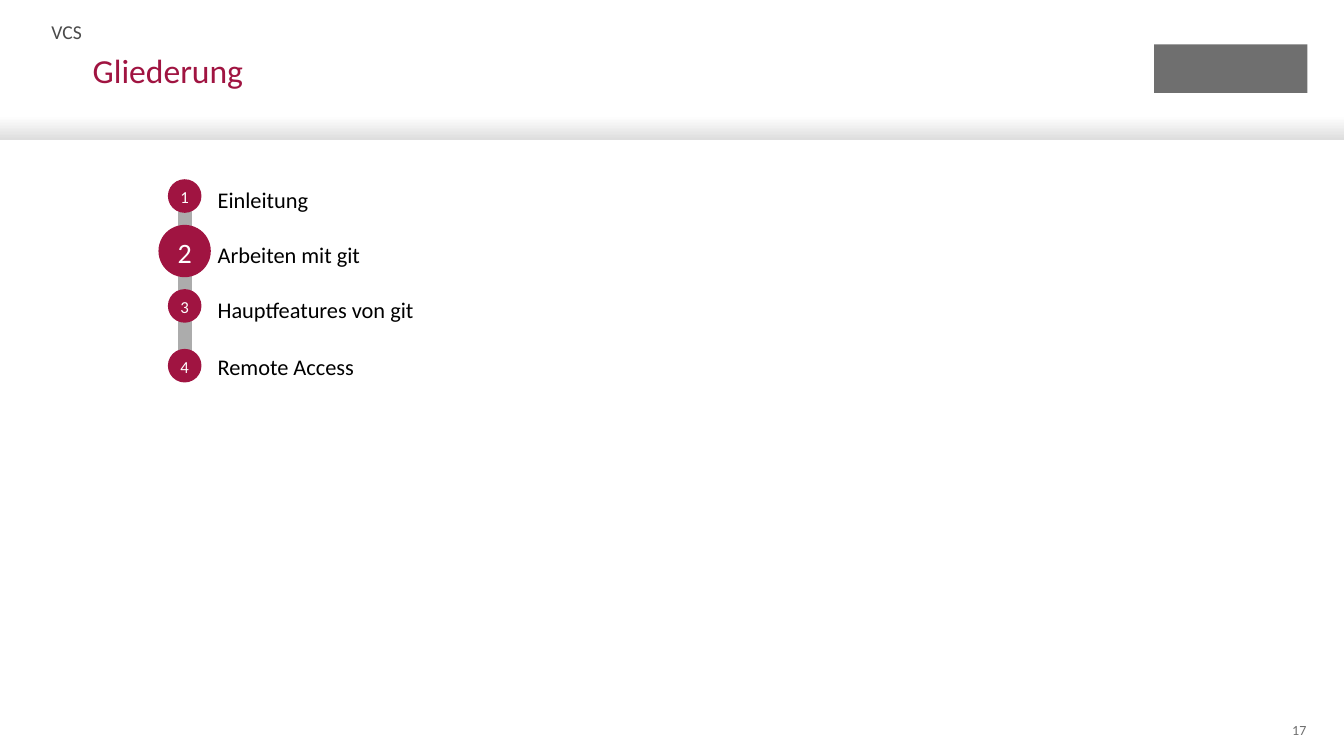
"""Build the agenda slide with its numbered track."""
from dataclasses import dataclass

from lxml import etree
from pptx import Presentation
from pptx.dml.color import RGBColor
from pptx.enum.shapes import MSO_CONNECTOR, MSO_SHAPE
from pptx.enum.text import MSO_ANCHOR, MSO_AUTO_SIZE, PP_ALIGN
from pptx.oxml.ns import qn
from pptx.util import Pt

LEFT, CENTER, RIGHT = PP_ALIGN.LEFT, PP_ALIGN.CENTER, PP_ALIGN.RIGHT
TOP, MIDDLE = MSO_ANCHOR.TOP, MSO_ANCHOR.MIDDLE
NONE = MSO_AUTO_SIZE.NONE
RECT, OVAL = MSO_SHAPE.RECTANGLE, MSO_SHAPE.OVAL
STRAIGHT = MSO_CONNECTOR.STRAIGHT


@dataclass(frozen=True)
class Theme:
    font: str = "Calibri"
    red: str = "A01441"
    white: str = "FFFFFF"
    black: str = "000000"
    dark: str = "4A4A4A"
    gray: str = "6F6F6F"
    track: str = "ACACAC"
    shade: str = "DEDEDE"
    title: int = 24
    large: int = 20
    item: int = 16
    label: int = 14
    small: int = 12
    page: int = 10


THEME = Theme()
WIDTH, HEIGHT = 960, 540
AXIS = 131.9
ACTIVE = 2
ITEMS = [
    ("Einleitung", 140, 128.2),
    ("Arbeiten mit git", 179.3, 167.8),
    ("Hauptfeatures von git", 218.5, 206.7),
    ("Remote Access", 261.2, 247.7),
]


def rgb(code):
    return RGBColor.from_string(code)


def write(shape, text, size, color, align=LEFT, anchor=TOP,
          space=1.0, inset=(0, 0, 0, 0), wrap=True):
    frame = shape.text_frame
    frame.auto_size = NONE
    frame.word_wrap = wrap
    frame.vertical_anchor = anchor
    (frame.margin_left, frame.margin_top,
     frame.margin_right, frame.margin_bottom) = map(Pt, inset)
    frame.text = text
    para = frame.paragraphs[0]
    para.alignment = align
    para.line_spacing = space
    para.font.name = THEME.font
    para.font.size = Pt(size)
    para.font.color.rgb = rgb(color)
    return para


def place(shape, *box):
    shape.left, shape.top, shape.width, shape.height = map(Pt, box)


def add_box(slide, box, text, size, color, **style):
    shape = slide.shapes.add_textbox(*map(Pt, box))
    write(shape, text, size, color, **style)


def add_form(slide, kind, box, color):
    shape = slide.shapes.add_shape(kind, *map(Pt, box))
    shape.shadow.inherit = False
    shape.line.fill.background()
    shape.fill.solid()
    shape.fill.fore_color.rgb = rgb(color)
    return shape


def add_band(slide):
    fill = add_form(slide, RECT, (0, 82.8, WIDTH, 17.2), THEME.white).fill
    fill.gradient()
    fill.gradient_angle = 270
    for stop, color in zip(fill.gradient_stops, (THEME.white, THEME.shade)):
        stop.color.rgb = rgb(color)


def add_track(slide):
    line = slide.shapes.add_connector(
        STRAIGHT, Pt(AXIS), Pt(269.3), Pt(AXIS), Pt(142.6))
    line.line.color.rgb = rgb(THEME.track)
    line.line.width = Pt(10)
    etree.SubElement(line._element.spPr, qn("a:effectLst"))


def add_item(slide, num, text, mid, top):
    add_box(slide, (144, top, 573.8, 25.9), text, THEME.item, THEME.black,
            space=1.1, inset=(11.5, 2.9, 0, 2.9))
    size, font = (37.4, THEME.large) if num == ACTIVE else (24, THEME.small)
    box = (AXIS - size / 2, mid - size / 2, size, size)
    dot = add_form(slide, OVAL, box, THEME.red)
    write(dot, str(num), font, THEME.white, align=CENTER, anchor=MIDDLE,
          space=1.1, wrap=False)


def add_heads(slide):
    title, label = slide.shapes.title, slide.placeholders[1]
    place(title, 66.2, 38.9, 737.3, 61.2)
    write(title, "Gliederung", THEME.title, THEME.red, space=0.9)
    place(label, 36.7, 10.8, 722.2, 21.6)
    para = write(label, "VCS", THEME.label, THEME.dark, anchor=MIDDLE,
                 space=1.1)
    para.space_before = Pt(0)
    props = para._p.get_or_add_pPr()
    props.set("marL", "0")
    props.set("indent", "0")
    props.find(qn("a:defRPr")).addprevious(etree.Element(qn("a:buNone")))


def main():
    deck = Presentation()
    deck.slide_width, deck.slide_height = Pt(WIDTH), Pt(HEIGHT)
    slide = deck.slides.add_slide(deck.slide_layouts[1])
    add_band(slide)
    add_form(slide, RECT, (824.4, 31.7, 109.4, 34.6), THEME.gray)
    add_heads(slide)
    add_track(slide)
    for num, item in enumerate(ITEMS, 1):
        add_item(slide, num, *item)
    add_box(slide, (893.5, 514.1, 39.6, 15.1), "17", THEME.page, THEME.gray,
            align=RIGHT, anchor=MIDDLE)
    deck.save("out.pptx")


if __name__ == "__main__":
    main()
